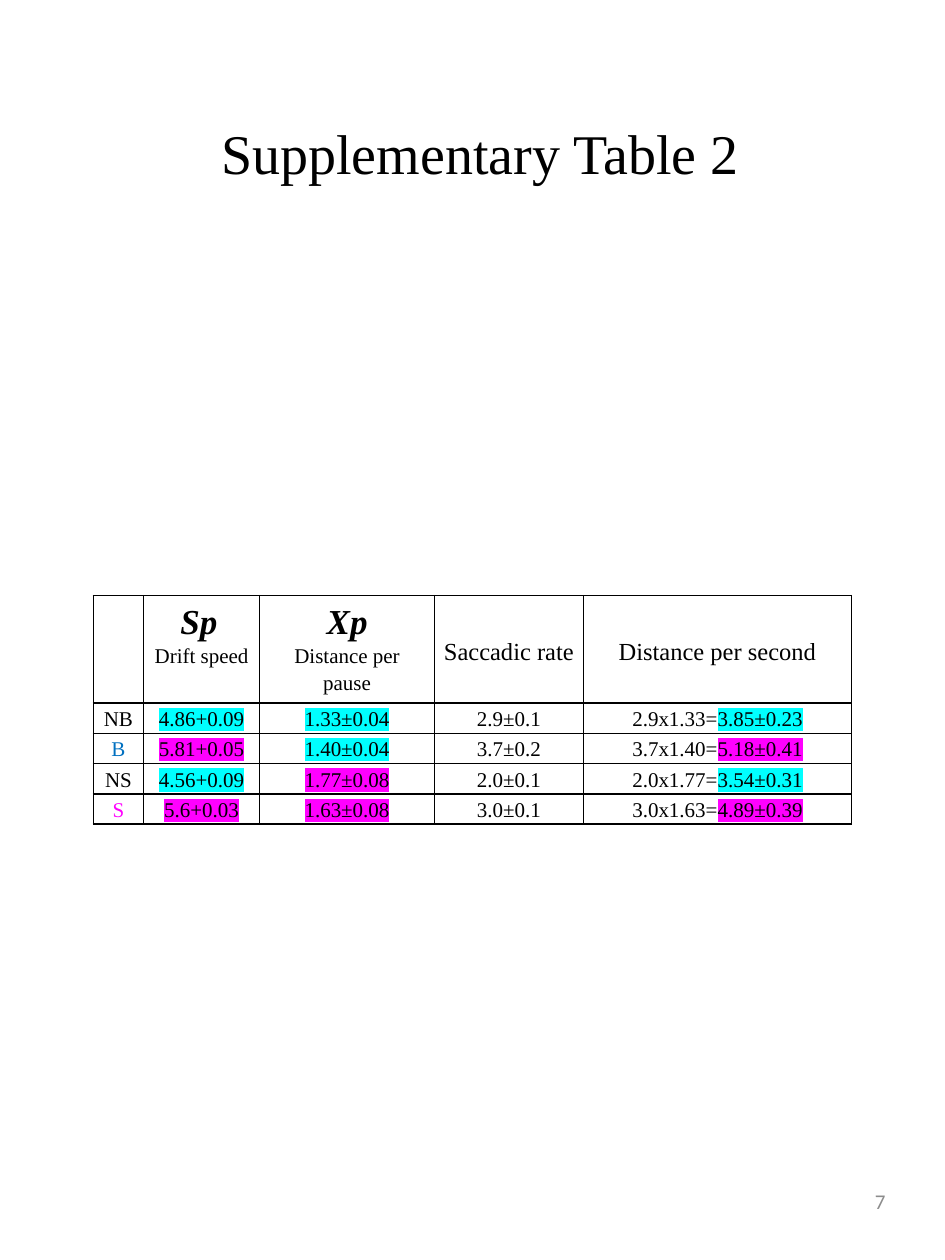
from lxml.etree import SubElement
from pptx import Presentation
from pptx.dml.color import RGBColor
from pptx.enum.text import MSO_ANCHOR, PP_ALIGN
from pptx.oxml.ns import qn
from pptx.util import Pt

BLACK = RGBColor(0x00, 0x00, 0x00)
GRAY = RGBColor(0x8C, 0x8C, 0x8C)
BLUE = RGBColor(0x00, 0x70, 0xC0)
CYAN = RGBColor(0x00, 0xFF, 0xFF)
MAGENTA = RGBColor(0xFF, 0x00, 0xFF)
SERIF = "Times New Roman"

COLUMN_WIDTHS = [28.8, 66.24, 100.08, 84.96, 153.36]
HEADER_HEIGHT, ROW_HEIGHT = 56.8, 16.1

# Symbol (if any), label, label size
HEADERS = [
    (None, None, 12),
    ("Sp", "Drift speed", 12),
    ("Xp", "Distance per pause", 12),
    (None, "Saccadic rate", 14),
    (None, "Distance per second", 14),
]
# Group, drift speed, distance per pause, saccadic rate, product, result;
# a tuple pairs a text with its colour or highlight
ROWS = [
    (("NB", BLACK), ("4.86+0.09", CYAN), ("1.33±0.04", CYAN),
     "2.9±0.1", "2.9x1.33=", ("3.85±0.23", CYAN)),
    (("B", BLUE), ("5.81+0.05", MAGENTA), ("1.40±0.04", CYAN),
     "3.7±0.2", "3.7x1.40=", ("5.18±0.41", MAGENTA)),
    (("NS", BLACK), ("4.56+0.09", CYAN), ("1.77±0.08", MAGENTA),
     "2.0±0.1", "2.0x1.77=", ("3.54±0.31", CYAN)),
    (("S", MAGENTA), ("5.6+0.03", MAGENTA), ("1.63±0.08", MAGENTA),
     "3.0±0.1", "3.0x1.63=", ("4.89±0.39", MAGENTA)),
]


def add_span(para, text, size=12, color=BLACK, highlight=None, font=SERIF):
    span = para.add_run()
    span.text = text
    span.font.size = Pt(size)
    span.font.color.rgb = color
    if highlight is not None:
        mark = SubElement(span.font._element, qn("a:highlight"))
        SubElement(mark, qn("a:srgbClr"), val=str(highlight))
    span.font.name = font
    return span


def format_cell(cell):
    """Give the cell black borders, no fill and narrow margins."""
    props = cell._tc.get_or_add_tcPr()
    for side in ("a:lnL", "a:lnR", "a:lnT", "a:lnB"):
        line = SubElement(props, qn(side), w=str(Pt(1)))
        fill = SubElement(line, qn("a:solidFill"))
        SubElement(fill, qn("a:srgbClr"), val=str(BLACK))
    cell.fill.background()
    cell.margin_left = cell.margin_right = Pt(5)
    cell.margin_top, cell.margin_bottom = Pt(0.7), Pt(0)


def format_para(para):
    para.alignment = PP_ALIGN.CENTER
    para.line_spacing = 1.15
    return para


def fill_header(cell, symbol, label, size):
    if label is None:
        return
    para = format_para(cell.text_frame.paragraphs[0])
    if symbol:
        span = add_span(para, symbol, 20)
        span.font.bold = span.font.italic = True
        if symbol == "Sp":
            add_span(para, " ").font.italic = True
        para = format_para(cell.text_frame.add_paragraph())
    else:
        cell.vertical_anchor = MSO_ANCHOR.MIDDLE
    add_span(para, label, size)


def fill_row(cells, values):
    group, speed, distance, rate, product, result = values
    paras = [format_para(cell.text_frame.paragraphs[0]) for cell in cells]
    add_span(paras[0], group[0], color=group[1])
    add_span(paras[1], speed[0], highlight=speed[1])
    add_span(paras[2], distance[0], highlight=distance[1])
    add_span(paras[3], rate)
    add_span(paras[4], product)
    add_span(paras[4], result[0], highlight=result[1])


def add_measures_table(page, left, top):
    heights = [HEADER_HEIGHT] + [ROW_HEIGHT] * len(ROWS)
    table = page.shapes.add_table(
        len(heights), len(COLUMN_WIDTHS), Pt(left), Pt(top),
        Pt(sum(COLUMN_WIDTHS)), Pt(sum(heights))).table
    table.first_row = table.horz_banding = False
    for column, width in zip(table.columns, COLUMN_WIDTHS):
        column.width = Pt(width)
    for row, height in zip(table.rows, heights):
        row.height = Pt(height)
    for cell in table.iter_cells():
        format_cell(cell)
    header, *body = table.rows
    for cell, content in zip(header.cells, HEADERS):
        fill_header(cell, *content)
    for row, values in zip(body, ROWS):
        fill_row(row.cells, values)


def set_title(page, left, top, width, height):
    title = page.shapes.title
    title.left, title.top = Pt(left), Pt(top)
    title.width, title.height = Pt(width), Pt(height)
    title.text_frame.vertical_anchor = MSO_ANCHOR.MIDDLE
    para = title.text_frame.paragraphs[0]
    para.alignment = PP_ALIGN.CENTER
    add_span(para, "Supplementary Table 2", 32)


def add_page_number(page, left, top, width, height):
    box = page.shapes.add_textbox(Pt(left), Pt(top), Pt(width), Pt(height))
    box.text_frame.word_wrap = True
    box.text_frame.vertical_anchor = MSO_ANCHOR.MIDDLE
    para = box.text_frame.paragraphs[0]
    para.alignment = PP_ALIGN.RIGHT
    add_span(para, "7", color=GRAY, font="Calibri")


def main():
    deck = Presentation()
    deck.slide_width, deck.slide_height = Pt(540), Pt(720)
    page = deck.slides.add_slide(deck.slide_layouts[5])
    set_title(page, 31.5, 26.7, 486, 120)
    add_page_number(page, 387, 667.4, 126, 38.3)
    add_measures_table(page, 53.3, 340.4)
    deck.save("out.pptx")


if __name__ == "__main__":
    main()
